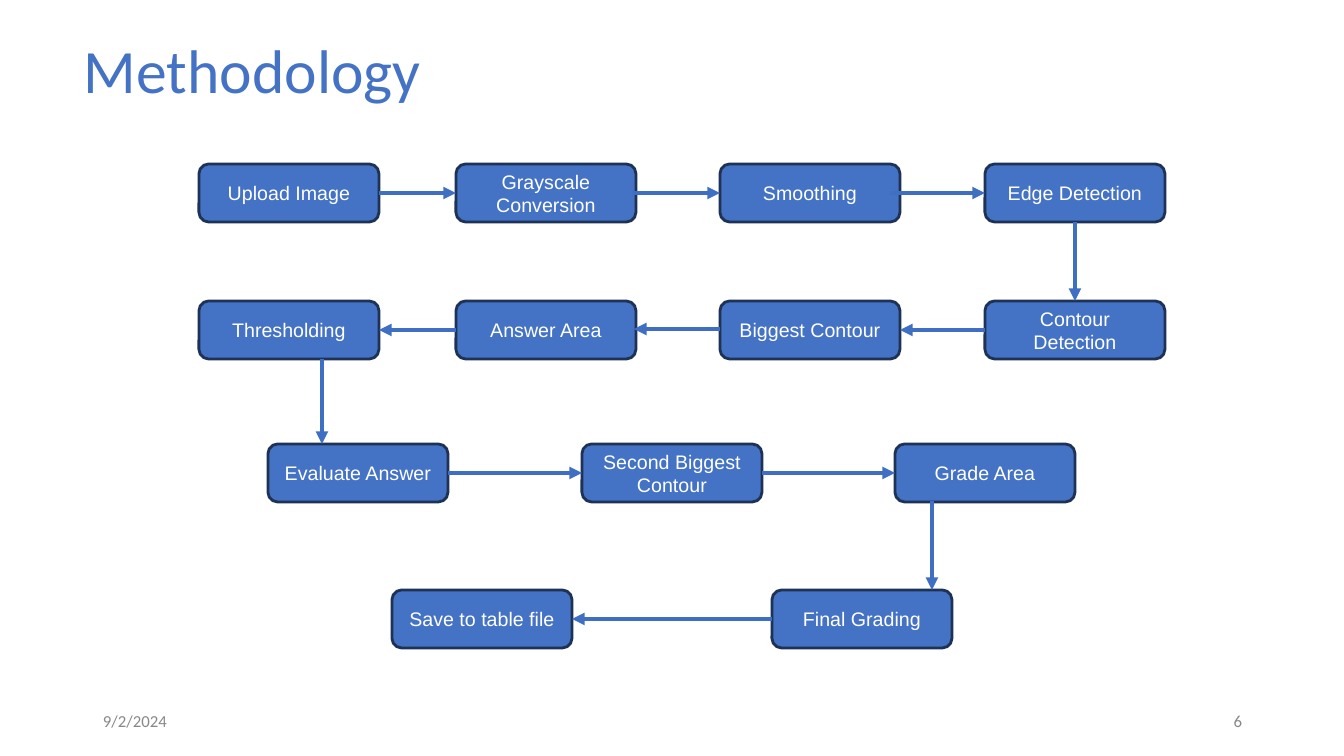
from lxml.etree import SubElement
from pptx import Presentation
from pptx.dml.color import RGBColor
from pptx.enum.shapes import MSO_CONNECTOR, MSO_SHAPE
from pptx.enum.text import MSO_ANCHOR, PP_ALIGN
from pptx.oxml.ns import qn
from pptx.util import Emu, Pt

EMU_PER_PX = 914400 / 100.8
BLUE = RGBColor(0x44, 0x72, 0xC4)
NAVY = RGBColor(0x1E, 0x32, 0x56)
ARROW_BLUE = RGBColor(0x3F, 0x6F, 0xC3)
GRAY = RGBColor(0x88, 0x88, 0x88)
WHITE = RGBColor(0xFF, 0xFF, 0xFF)

STEP_WIDTH, STEP_HEIGHT = 180, 58
TOP, LEFT, BOTTOM, RIGHT = range(4)

STEPS = [
    ("Upload Image", 199, 164),
    ("Grayscale Conversion", 456, 164),
    ("Smoothing", 720, 164),
    ("Edge Detection", 985, 164),
    ("Contour Detection", 985, 301),
    ("Biggest Contour", 720, 301),
    ("Answer Area", 456, 301),
    ("Thresholding", 199, 301),
    ("Evaluate Answer", 268, 444),
    ("Second Biggest Contour", 582, 444),
    ("Grade Area", 895, 444),
    ("Final Grading", 772, 590),
    ("Save to table file", 392, 590),
]

ARROWS = [
    (("Upload Image", RIGHT), ("Grayscale Conversion", LEFT)),
    ((632, 193), ("Smoothing", LEFT)),
    ((890, 193), ("Edge Detection", LEFT)),
    (("Edge Detection", BOTTOM), ("Contour Detection", TOP)),
    (("Contour Detection", LEFT), ("Biggest Contour", RIGHT)),
    ((720, 329), (634, 329)),
    (("Answer Area", LEFT), ("Thresholding", RIGHT)),
    ((322, 359), (322, 444)),
    (("Evaluate Answer", RIGHT), ("Second Biggest Contour", LEFT)),
    (("Second Biggest Contour", RIGHT), ("Grade Area", LEFT)),
    ((932, 501), (932, 590)),
    (("Final Grading", LEFT), ("Save to table file", RIGHT)),
]


def px(length):
    return Emu(round(length * EMU_PER_PX))


def write(shape, text, font, size, color, align):
    frame = shape.text_frame
    frame.word_wrap = True
    frame.vertical_anchor = MSO_ANCHOR.MIDDLE
    para = frame.paragraphs[0]
    para.text = text
    para.alignment = align
    para.font.name = font
    para.font.size = Pt(size)
    para.font.color.rgb = color
    return para


def add_label(page, text, left, top, width, height, size, color, align=PP_ALIGN.LEFT):
    box = page.shapes.add_textbox(px(left), px(top), px(width), px(height))
    return write(box, text, "Calibri", size, color, align)


def add_step(page, text, left, top):
    box = page.shapes.add_shape(
        MSO_SHAPE.ROUNDED_RECTANGLE, px(left), px(top), px(STEP_WIDTH), px(STEP_HEIGHT)
    )
    box.shadow.inherit = False
    box.fill.solid()
    box.fill.fore_color.rgb = BLUE
    box.line.color.rgb = NAVY
    box.line.width = Pt(2)
    write(box, text, "Arial", 14, WHITE, PP_ALIGN.CENTER)
    return box


def add_arrow(page, boxes, start, end):
    points = [(0, 0) if point[0] in boxes else point for point in (start, end)]
    arrow = page.shapes.add_connector(
        MSO_CONNECTOR.STRAIGHT, *(px(length) for point in points for length in point)
    )
    if start[0] in boxes:
        arrow.begin_connect(boxes[start[0]], start[1])
    if end[0] in boxes:
        arrow.end_connect(boxes[end[0]], end[1])
    arrow.line.color.rgb = ARROW_BLUE
    arrow.line.width = Pt(3)
    SubElement(arrow.line._get_or_add_ln(), qn("a:tailEnd"), type="triangle")
    SubElement(arrow._element.spPr, qn("a:effectLst"))


def main():
    deck = Presentation()
    deck.slide_width, deck.slide_height = px(1344), px(756)
    page = deck.slides.add_slide(deck.slide_layouts[6])

    title = add_label(page, "Methodology", 74, 1, 1159, 146, 44, BLUE)
    title.line_spacing = 0.9
    add_label(page, "9/2/2024", 93, 701, 302, 40, 12, GRAY)
    add_label(page, "6", 950, 701, 302, 40, 12, GRAY, PP_ALIGN.RIGHT)

    boxes = {text: add_step(page, text, left, top) for text, left, top in STEPS}
    for start, end in ARROWS:
        add_arrow(page, boxes, start, end)

    deck.save("out.pptx")


if __name__ == "__main__":
    main()
